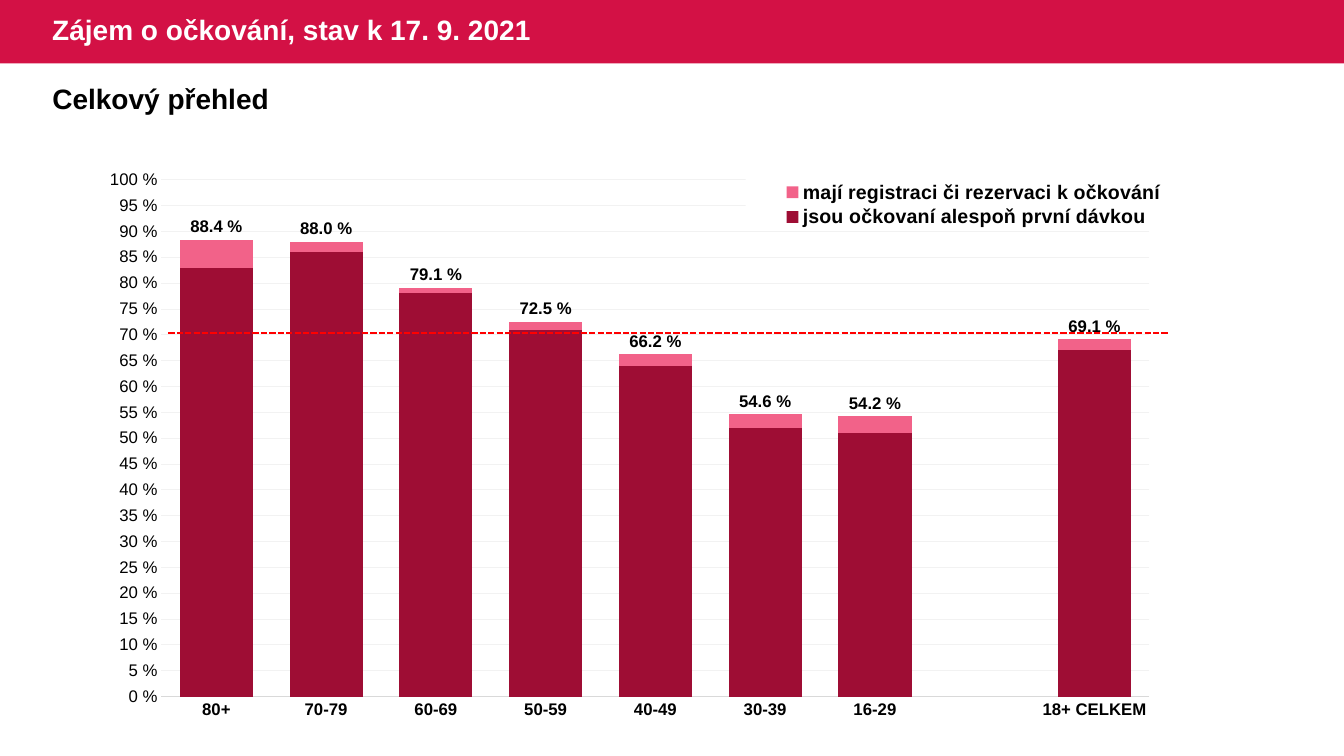
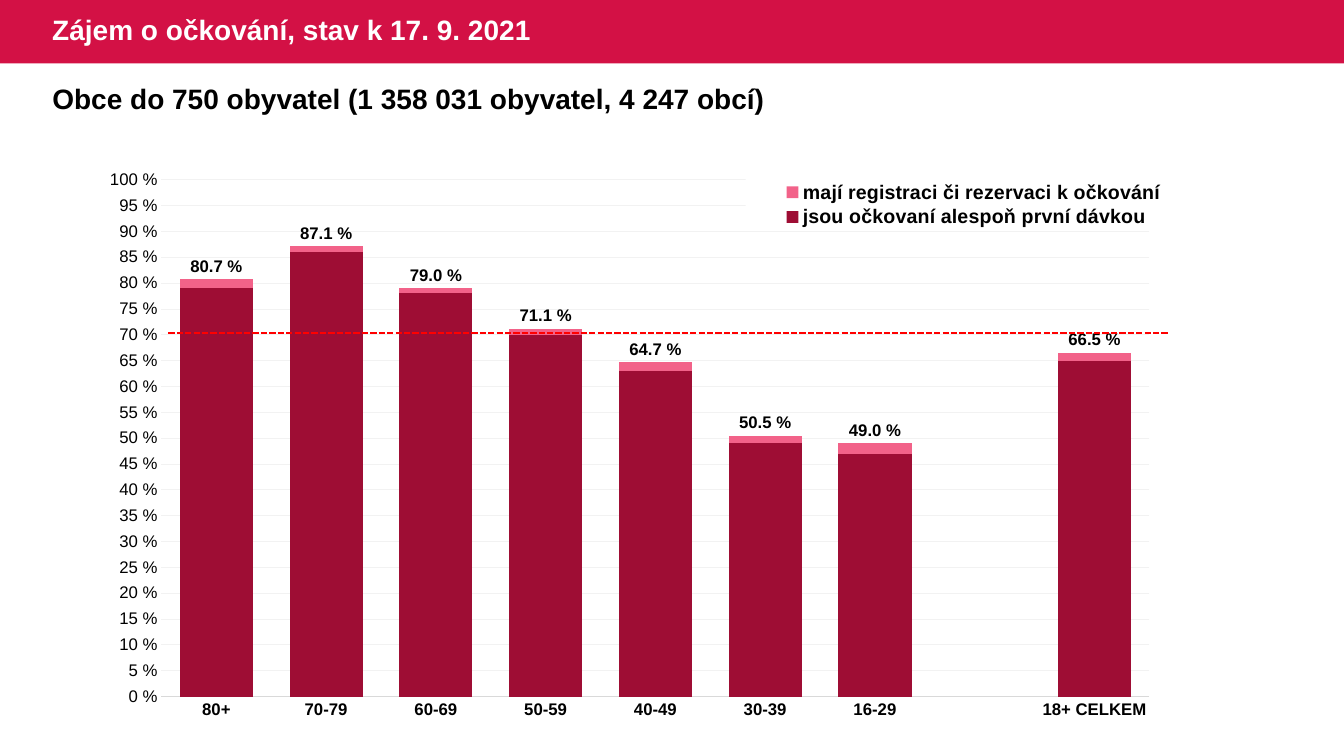
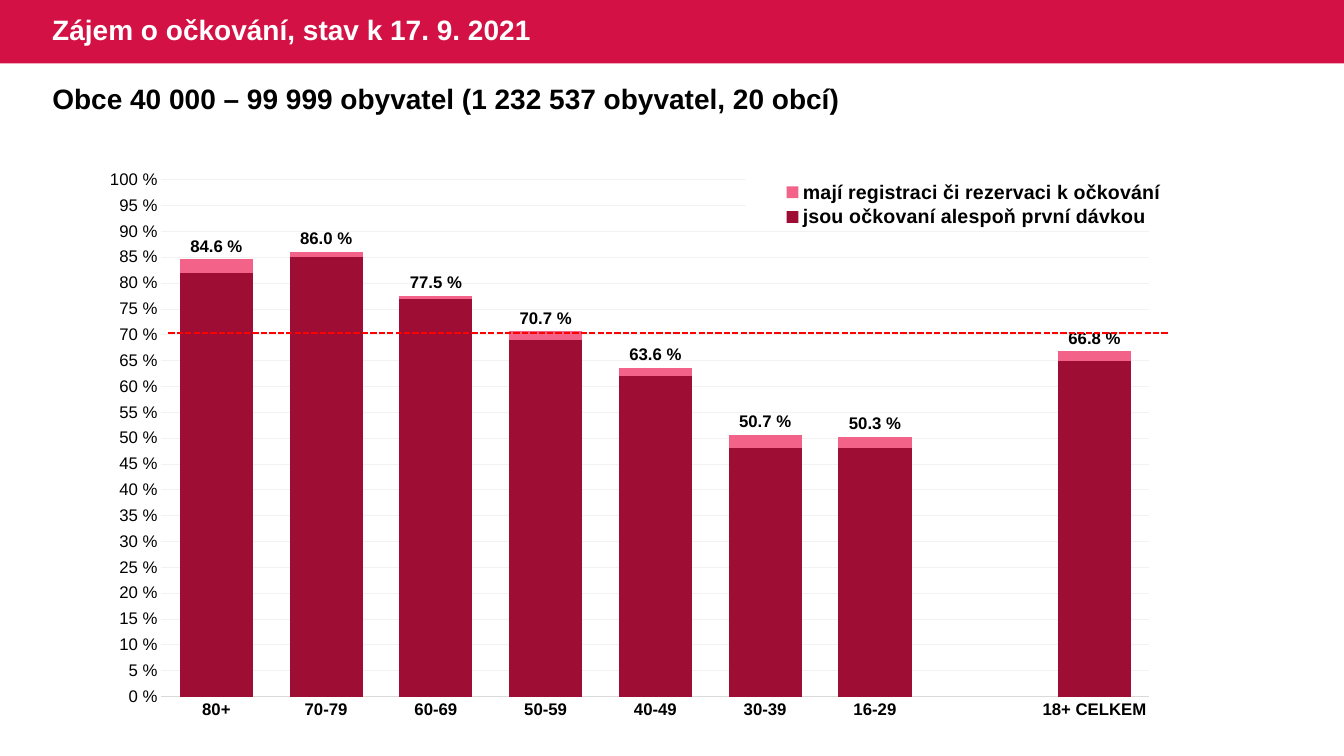
import pptx
import pptx.chart.data
import pptx.dml.color
import pptx.enum.chart
import pptx.enum.dml
import pptx.enum.shapes
import pptx.enum.text
import pptx.oxml
import pptx.oxml.ns
import pptx.util

PX = 9144
WIDTH, HEIGHT = 1333, 750
FONT = "Arial"
WHITE, BLACK = "FFFFFF", "000000"
BAND, PINK, WINE = "D31145", "F26289", "9E0D34"
AXIS, GRID, TARGET = "D9D9D9", "F2F2F2", "FF0000"

TITLE = "Zájem o očkování, stav k 17. 9. 2021"
AGES = ["80+", "70-79", "60-69", "50-59", "40-49", "30-39", "16-29", "", "18+ CELKEM"]
INTERESTED = "mají registraci či rezervaci k očkování"
VACCINATED = "jsou očkovaní alespoň první dávkou"

SLIDES = [
    ("Celkový přehled",
     [88.4, 88, 79.1, 72.5, 66.2, 54.6, 54.2, None, 69.1],
     [83, 86, 78, 71, 64, 52, 51, None, 67]),
    ("Obce do 750 obyvatel (1 358 031 obyvatel, 4 247 obcí)",
     [80.7, 87.1, 79, 71.1, 64.7, 50.5, 49, None, 66.5],
     [79, 86, 78, 70, 63, 49, 47, None, 65]),
    ("Obce 40 000 – 99 999 obyvatel (1 232 537 obyvatel, 20 obcí)",
     [84.6, 86, 77.5, 70.7, 63.6, 50.7, 50.3, None, 66.8],
     [82, 85, 77, 69, 62, 48, 48, None, 65]),
]


def px(*lengths):
    """Turn pixel lengths into EMU."""
    return [pptx.util.Emu(n * PX) for n in lengths]


def rgb(value):
    """Turn a hex string into a colour."""
    return pptx.dml.color.RGBColor.from_string(value)


def set_font(font, size, color=BLACK, bold=False):
    """Set face, size, colour and weight of a font."""
    font.name = FONT
    font.size = pptx.util.Pt(size)
    font.bold = bold
    font.color.rgb = rgb(color)


def set_line(line, color, width):
    """Set colour and width of a line."""
    line.color.rgb = rgb(color)
    line.width = pptx.util.Pt(width)


def add_band(s):
    """Add the coloured band across the top."""
    sp = s.shapes.add_shape(pptx.enum.shapes.MSO_SHAPE.RECTANGLE, *px(0, 0, WIDTH, 63))
    sp.shadow.inherit = False
    sp.fill.solid()
    sp.fill.fore_color.rgb = rgb(BAND)
    sp.line.fill.background()


def add_heading(s, text, box, color):
    """Add a bold heading and return its text frame."""
    tf = s.shapes.add_textbox(*px(*box)).text_frame
    tf.word_wrap = True
    p = tf.paragraphs[0]
    p.text = text
    set_font(p.font, 20, color, True)
    return tf


def add_target(s):
    """Add the dashed line at the 70 % target."""
    line = s.shapes.add_connector(
        pptx.enum.shapes.MSO_CONNECTOR.STRAIGHT, *px(167, 330, 1159, 330))
    set_line(line.line, TARGET, 1.5)
    line.line.dash_style = pptx.enum.dml.MSO_LINE.SQUARE_DOT
    line._element.spPr.append(pptx.oxml.parse_xml(
        f"<a:effectLst {pptx.oxml.ns.nsdecls('a')}/>"))


def make_layout(x, y, w, h, inner=False):
    """Return a manual chart layout in fractions of the chart."""
    target = '<c:layoutTarget val="inner"/>' if inner else ""
    sizes = "".join(f'<c:{tag} val="{val}"/>' for tag, val in zip("xywh", (x, y, w, h)))
    return pptx.oxml.parse_xml(
        f"<c:layout {pptx.oxml.ns.nsdecls('c')}><c:manualLayout>{target}"
        f'<c:xMode val="edge"/><c:yMode val="edge"/>{sizes}</c:manualLayout></c:layout>')


def place_plot(chart):
    """Fix the inner plot area."""
    area = chart._chartSpace.chart.plotArea
    for old in area.findall(pptx.oxml.ns.qn("c:layout")):
        area.remove(old)
    area.insert(0, make_layout(0.045, 0.032, 0.888, 0.895, True))


def format_legend(chart):
    """Place a white legend over the top right of the plot."""
    chart.has_legend = True
    legend = chart.legend
    legend.position = pptx.enum.chart.XL_LEGEND_POSITION.TOP
    legend.include_in_layout = False
    set_font(legend.font, 14, bold=True)
    overlay = legend._element.find(pptx.oxml.ns.qn("c:overlay"))
    for old in legend._element.findall(pptx.oxml.ns.qn("c:layout")):
        legend._element.remove(old)
    overlay.addprevious(make_layout(0.57, 0.03, 0.41, 0.09))
    overlay.addnext(pptx.oxml.parse_xml(
        f"<c:spPr {pptx.oxml.ns.nsdecls('c', 'a')}><a:solidFill>"
        f'<a:srgbClr val="{WHITE}"/></a:solidFill></c:spPr>'))


def format_axes(chart):
    """Style the age axis and the percent axis."""
    ages, percent = chart.category_axis, chart.value_axis
    for axis in (ages, percent):
        axis.major_tick_mark = pptx.enum.chart.XL_TICK_MARK.NONE
        axis.minor_tick_mark = pptx.enum.chart.XL_TICK_MARK.NONE
        set_font(axis.tick_labels.font, 12, bold=axis is ages)
    set_line(ages.format.line, AXIS, 0.75)
    percent.format.line.fill.background()
    percent.minimum_scale, percent.maximum_scale = 0, 100
    percent.major_unit = 5
    percent.tick_labels.number_format = '0" %"'
    percent.tick_labels.number_format_is_linked = False
    percent.has_major_gridlines = True
    set_line(percent.major_gridlines.format.line, GRID, 0.5)


def format_bars(plot):
    """Colour the overlapping bars and label the outer ones."""
    plot.vary_by_categories = False
    plot.gap_width, plot.overlap = 50, 100
    for series, color in zip(plot.series, (PINK, WINE)):
        series.invert_if_negative = False
        series.format.fill.solid()
        series.format.fill.fore_color.rgb = rgb(color)
    labels = plot.series[0].data_labels
    labels.show_value = True
    labels.number_format = '0.0" %"'
    labels.number_format_is_linked = False
    labels.position = pptx.enum.chart.XL_LABEL_POSITION.OUTSIDE_END
    set_font(labels.font, 12, bold=True)


def add_age_chart(s, interested, vaccinated):
    """Add the chart of interest and vaccination by age."""
    data = pptx.chart.data.CategoryChartData()
    data.categories = AGES
    data.add_series(INTERESTED, interested)
    data.add_series(VACCINATED, vaccinated)
    chart = s.shapes.add_chart(
        pptx.enum.chart.XL_CHART_TYPE.COLUMN_CLUSTERED, *px(109, 160, 1105, 573), data).chart
    chart.has_title = False
    set_font(chart.font, 10)
    place_plot(chart)
    format_legend(chart)
    format_axes(chart)
    format_bars(chart.plots[0])


def add_slide(prs, subtitle, interested, vaccinated):
    """Add one slide with headings, chart and target line."""
    s = prs.slides.add_slide(prs.slide_layouts[6])
    add_band(s)
    tf = add_heading(s, TITLE, (42, 0, 590, 63), WHITE)
    tf.vertical_anchor = pptx.enum.text.MSO_ANCHOR.MIDDLE
    tf.paragraphs[0].line_spacing = 0.9
    tf = add_heading(s, subtitle, (42, 76, 1239, 44), BLACK)
    tf.auto_size = pptx.enum.text.MSO_AUTO_SIZE.SHAPE_TO_FIT_TEXT
    add_age_chart(s, interested, vaccinated)
    add_target(s)


def main():
    """Build and save the presentation."""
    prs = pptx.Presentation()
    prs.slide_width, prs.slide_height = px(WIDTH, HEIGHT)
    for subtitle, interested, vaccinated in SLIDES:
        add_slide(prs, subtitle, interested, vaccinated)
    prs.save("out.pptx")


if __name__ == "__main__":
    main()
